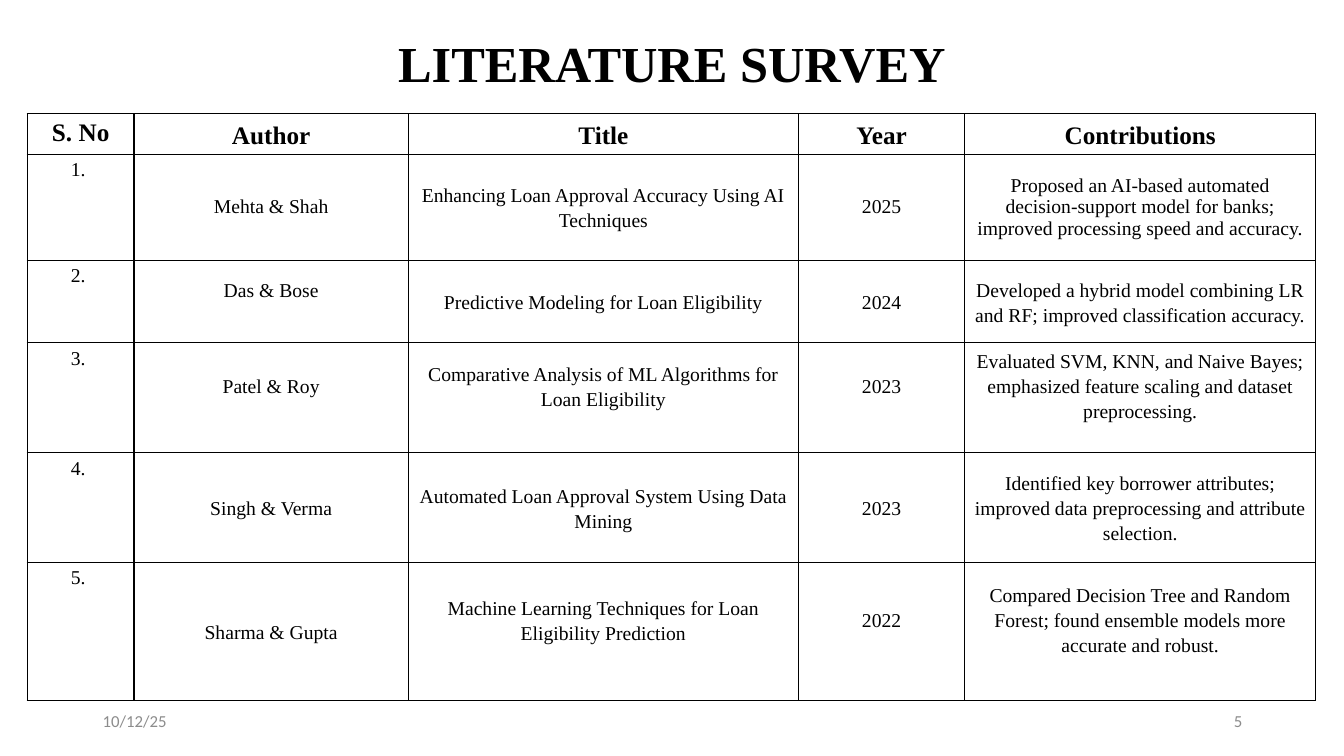
import pptx
import pptx.dml.color
import pptx.enum.text
import pptx.oxml
import pptx.oxml.ns
import pptx.util

RGBColor = pptx.dml.color.RGBColor
Inches = pptx.util.Inches
Pt = pptx.util.Pt
Align = pptx.enum.text.PP_ALIGN
Anchor = pptx.enum.text.MSO_ANCHOR

BLACK = RGBColor(0x00, 0x00, 0x00)
GREY = RGBColor(0x8C, 0x8C, 0x8C)
SERIF = "Times New Roman"
SANS = "Calibri"

WIDTH, HEIGHT = 13.33, 7.5
COLUMNS = [1.06, 2.72, 3.87, 1.65, 3.48]
ROWS = [0.38, 1.05, 0.82, 1.09, 1.09, 1.37]
RAISED = 0.24  # bottom margin that lifts a cell's text by half a line
RAISED_CELLS = {(2, 1), (3, 1), (3, 2), (3, 3), (3, 4), (5, 2), (5, 3), (5, 4)}
SINGLE_SPACED = {(1, 1), (1, 3), (1, 4)}

SURVEY = [
    ("S. No", "Author", "Title", "Year", "Contributions"),
    ("1. ", "Mehta & Shah", "Enhancing Loan Approval Accuracy Using AI Techniques", "2025",
     "Proposed an AI-based automated decision-support model for banks; "
     "improved processing speed and accuracy."),
    ("2. ", "Das & Bose", "Predictive Modeling for Loan Eligibility", "2024",
     "Developed a hybrid model combining LR and RF; improved classification accuracy."),
    ("3. ", "Patel & Roy", "Comparative Analysis of ML Algorithms for Loan Eligibility", "2023",
     "Evaluated SVM, KNN, and Naive Bayes; emphasized feature scaling and dataset preprocessing."),
    ("4. ", "Singh & Verma", "Automated Loan Approval System Using Data Mining", "2023",
     "Identified key borrower attributes; improved data preprocessing and attribute selection."),
    ("5. ", "Sharma & Gupta", "Machine Learning Techniques for Loan Eligibility Prediction", "2022",
     "Compared Decision Tree and Random Forest; found ensemble models more accurate and robust."),
]


def write(frame, text, size, font, color, bold=False, align=Align.CENTER, spacing=1.0):
    paragraph = frame.paragraphs[0]
    paragraph.alignment = align
    paragraph.line_spacing = spacing
    run = paragraph.add_run()
    run.text = text
    run.font.size = Pt(size)
    run.font.name = font
    run.font.bold = bold
    run.font.color.rgb = color


def add_label(slide, box, text, size, font, color, **style):
    frame = slide.shapes.add_textbox(*map(Inches, box)).text_frame
    frame.word_wrap = True
    frame.vertical_anchor = Anchor.MIDDLE
    write(frame, text, size, font, color, **style)


def add_borders(cell):
    properties = cell._tc.get_or_add_tcPr()
    for position, side in enumerate(("lnL", "lnR", "lnT", "lnB")):
        line = pptx.oxml.parse_xml(
            f'<a:{side} {pptx.oxml.ns.nsdecls("a")} w="{Pt(1)}"><a:solidFill>'
            f'<a:srgbClr val="{BLACK}"/></a:solidFill></a:{side}>')
        properties.insert(position, line)


def fill_cell(cell, row, column, text):
    numbered = column == 0
    single = numbered or (row, column) in SINGLE_SPACED
    cell.fill.background()
    cell.vertical_anchor = Anchor.TOP if numbered else Anchor.MIDDLE
    cell.margin_left = cell.margin_right = Inches(0.1 if single else 0.08)
    cell.margin_top = cell.margin_bottom = Inches(0.05 if single else 0)
    if (row, column) in RAISED_CELLS:
        cell.margin_bottom = Inches(RAISED)
    header = row == 0
    write(cell.text_frame, text, 18 if header else 14, SERIF, BLACK,
          bold=header, spacing=1.0 if single else 1.15)
    add_borders(cell)


def add_survey_table(slide, left, top):
    frame = slide.shapes.add_table(len(ROWS), len(COLUMNS), Inches(left), Inches(top),
                                   Inches(sum(COLUMNS)), Inches(sum(ROWS)))
    table = frame.table
    table.first_row = table.horz_banding = False
    for column, width in zip(table.columns, COLUMNS):
        column.width = Inches(width)
    for row, height in zip(table.rows, ROWS):
        row.height = Inches(height)
    for row, texts in enumerate(SURVEY):
        for column, text in enumerate(texts):
            fill_cell(table.cell(row, column), row, column, text)


def add_footer(slide, left, top, width, height):
    part = 3
    add_label(slide, (left, top, part, height), "10/12/25", 12, SANS, GREY, align=Align.LEFT)
    add_label(slide, (left + width - part, top, part, height), "5", 12, SANS, GREY,
              align=Align.RIGHT)


def main():
    presentation = pptx.Presentation()
    presentation.slide_width = Inches(WIDTH)
    presentation.slide_height = Inches(HEIGHT)
    slide = presentation.slides.add_slide(presentation.slide_layouts[6])

    # Title
    add_label(slide, (0, 0, WIDTH, 1.32), "LITERATURE SURVEY", 36, SERIF, BLACK,
              bold=True, spacing=0.9)
    # Survey table
    add_survey_table(slide, 0.27, 1.13)
    # Date and slide number
    add_footer(slide, 0.92, 6.95, 11.5, 0.4)

    presentation.save("out.pptx")


if __name__ == "__main__":
    main()
